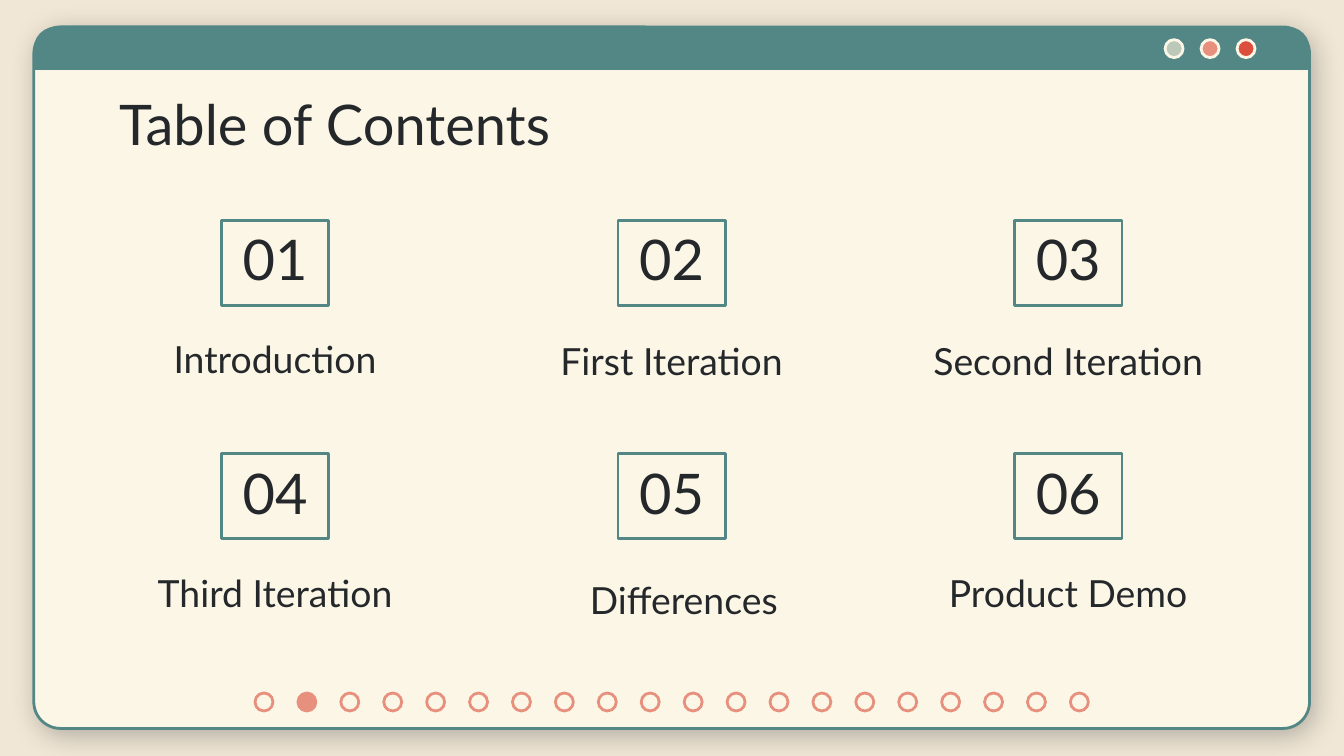
from lxml import etree
from pptx import Presentation
from pptx.dml.color import RGBColor
from pptx.enum.shapes import MSO_SHAPE
from pptx.enum.text import MSO_ANCHOR, PP_ALIGN
from pptx.oxml.ns import qn
from pptx.util import Cm, Pt

RECTANGLE, ELLIPSE = MSO_SHAPE.RECTANGLE, MSO_SHAPE.OVAL
ROUNDED, ROUNDED_TOP = MSO_SHAPE.ROUNDED_RECTANGLE, MSO_SHAPE.ROUND_2_SAME_RECTANGLE
TOP, BOTTOM = MSO_ANCHOR.TOP, MSO_ANCHOR.BOTTOM
LEFT, CENTER = PP_ALIGN.LEFT, PP_ALIGN.CENTER

FONT = "Lato"
INK, SAND, CREAM, TEAL = "24282A", "F1E7D6", "FCF6E7", "538786"
SAGE, CORAL, RED = "BBC8BA", "E6907D", "DD4F3D"
DOT_SIZE = 0.34
PAGE_COUNT, CURRENT_PAGE = 20, 1
COLUMNS = 3
SECTIONS = [
    ("Introduction", 0, 1.93),
    ("First Iteration", 0, 1.98),
    ("Second Iteration", 0, 1.98),
    ("Third Iteration", 0, 1.95),
    ("Differences", 0.23, 2.08),
    ("Product Demo", 0, 1.95),
]


def color(hex_code):
    """Turn a hex string into a colour."""
    return RGBColor.from_string(hex_code)


def add_panel(slide, kind, box, fill=None, outline=None):
    """Add a flat preset shape with optional fill and outline."""
    panel = slide.shapes.add_shape(kind, *map(Cm, box))
    panel.shadow.inherit = False
    if fill:
        panel.fill.solid()
        panel.fill.fore_color.rgb = color(fill)
    else:
        panel.fill.background()
    if outline:
        panel.line.color.rgb = color(outline)
        panel.line.width = Pt(1.5)
    else:
        panel.line.fill.background()
    return panel


def write(holder, wording, size, align=CENTER, anchor=TOP):
    """Set one styled line of text in a shape or text box."""
    frame = holder.text_frame
    frame.text = wording
    frame.word_wrap = True
    frame.vertical_anchor = anchor
    frame.margin_left = frame.margin_right = Cm(0.25)
    frame.margin_top = frame.margin_bottom = Cm(0.25)
    line = frame.paragraphs[0]
    line.alignment = align
    for run in line.runs:
        run.font.name = FONT
        run.font.size = Pt(size)
        run.font.color.rgb = color(INK)


def add_soft_shadow(panel):
    """Give a shape a blurred, translucent shadow."""
    effects = panel._element.spPr.find(qn("a:effectLst"))
    shadow = etree.SubElement(
        effects, qn("a:outerShdw"), blurRad=str(Pt(14.6)), dist=str(Pt(3.8)),
        dir=str(50 * 60000), algn="bl", rotWithShape="0")
    tint = etree.SubElement(shadow, qn("a:srgbClr"), val=INK)
    etree.SubElement(tint, qn("a:alpha"), val="30000")


def add_dots(slide, left, top, pitch, styles):
    """Place a row of evenly spaced dots from (fill, outline) pairs."""
    for index, (fill, outline) in enumerate(styles):
        box = (left + index * pitch, top, DOT_SIZE, DOT_SIZE)
        add_panel(slide, ELLIPSE, box, fill, outline)


def add_window(slide, box):
    """Draw the window frame, its title bar and its three buttons."""
    left, top, width, _ = box
    frame = add_panel(slide, ROUNDED, box, CREAM, TEAL)
    frame.adjustments[0] = 0.038
    add_soft_shadow(frame)
    bar = add_panel(slide, ROUNDED_TOP, (left, top, width, 0.81), TEAL)
    bar.adjustments[0], bar.adjustments[1] = 0.5, 0
    buttons = [(fill, CREAM) for fill in (SAGE, CORAL, RED)]
    add_dots(slide, left + width - 2.73, top + 0.24, 0.68, buttons)


def add_title(slide, box):
    """Write the slide heading."""
    write(slide.shapes.add_textbox(*map(Cm, box)), "Table of Contents", 30, LEFT)


def add_section(slide, box, number, label, shift, drop):
    """Place a numbered badge with its caption below."""
    left, top, width, _ = box
    badge_width = 2.03
    badge_box = (left + (width - badge_width) / 2, top, badge_width, 1.6)
    badge = add_panel(slide, RECTANGLE, badge_box, outline=TEAL)
    write(badge, f"{number:02d}", 30, anchor=BOTTOM)
    caption_box = (left + shift, top + drop, width, 1.42)
    write(slide.shapes.add_textbox(*map(Cm, caption_box)), label, 20)


def add_contents(slide, box):
    """Lay the sections out in a grid that fills the box."""
    left, top, width, height = box
    section_width, section_height = 6.4, 3.4
    rows = len(SECTIONS) // COLUMNS
    across = (width - section_width) / (COLUMNS - 1)
    down = (height - section_height) / (rows - 1)
    for index, section in enumerate(SECTIONS):
        row, column = divmod(index, COLUMNS)
        cell = (left + column * across, top + row * down,
                section_width, section_height)
        add_section(slide, cell, index + 1, *section)


def add_pager(slide, box):
    """Spread the page dots over the box and fill the current one."""
    left, top, width, _ = box
    pitch = (width - DOT_SIZE) / (PAGE_COUNT - 1)
    styles = [(CORAL if page == CURRENT_PAGE else CREAM, CORAL)
              for page in range(PAGE_COUNT)]
    add_dots(slide, left, top, pitch, styles)


def main():
    """Build and save the slide."""
    deck = Presentation()
    deck.slide_width, deck.slide_height = Cm(25.4), Cm(14.29)
    slide = deck.slides.add_slide(deck.slide_layouts[6])
    slide.background.fill.solid()
    slide.background.fill.fore_color.rgb = color(SAND)
    add_window(slide, (0.64, 0.51, 24.11, 13.26))
    add_title(slide, (2, 1.45, 21.4, 1.6))
    add_contents(slide, (2, 4.17, 21.39, 7.81))
    add_pager(slide, (4.82, 13.1, 15.75, DOT_SIZE))
    deck.save("out.pptx")


if __name__ == "__main__":
    main()
